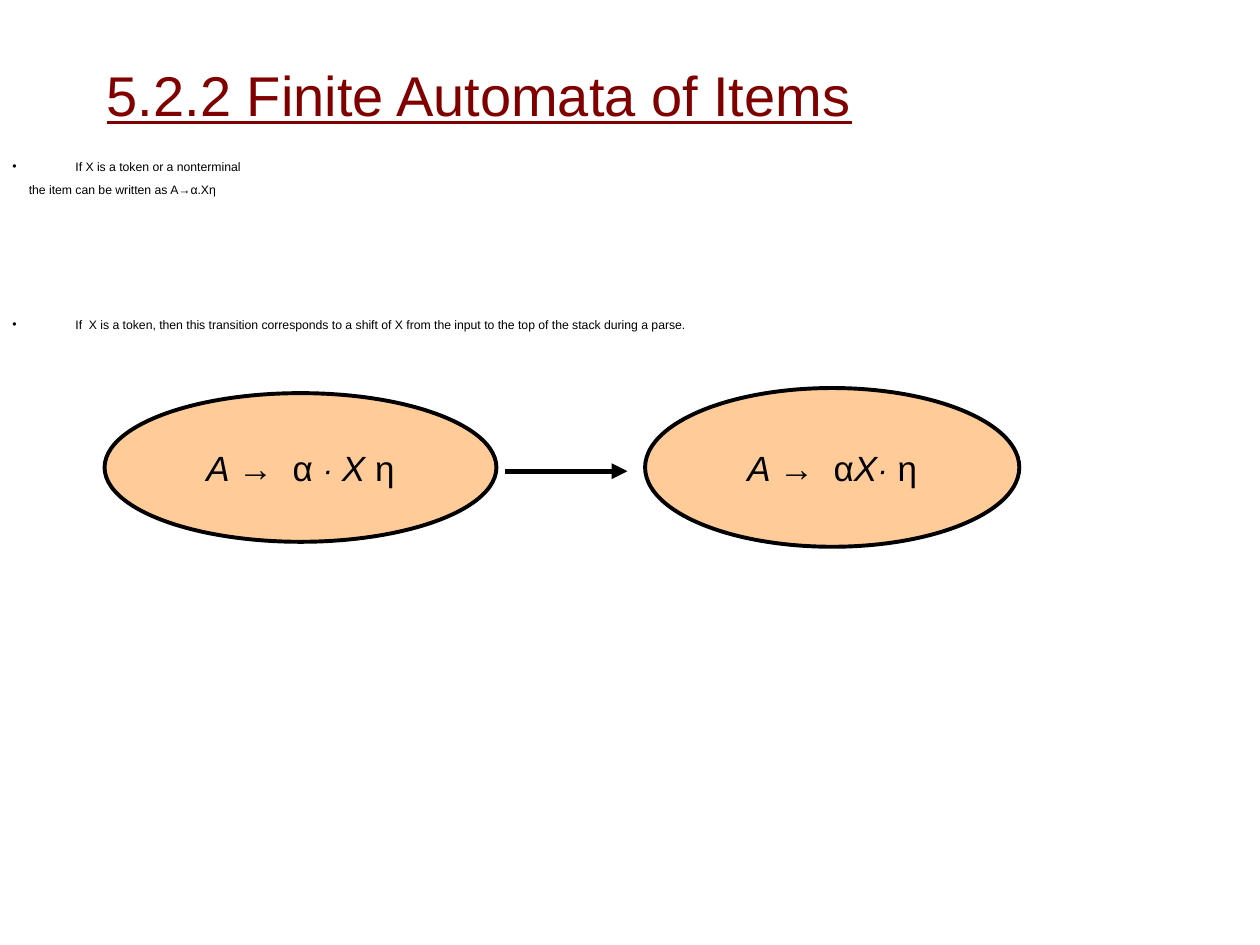
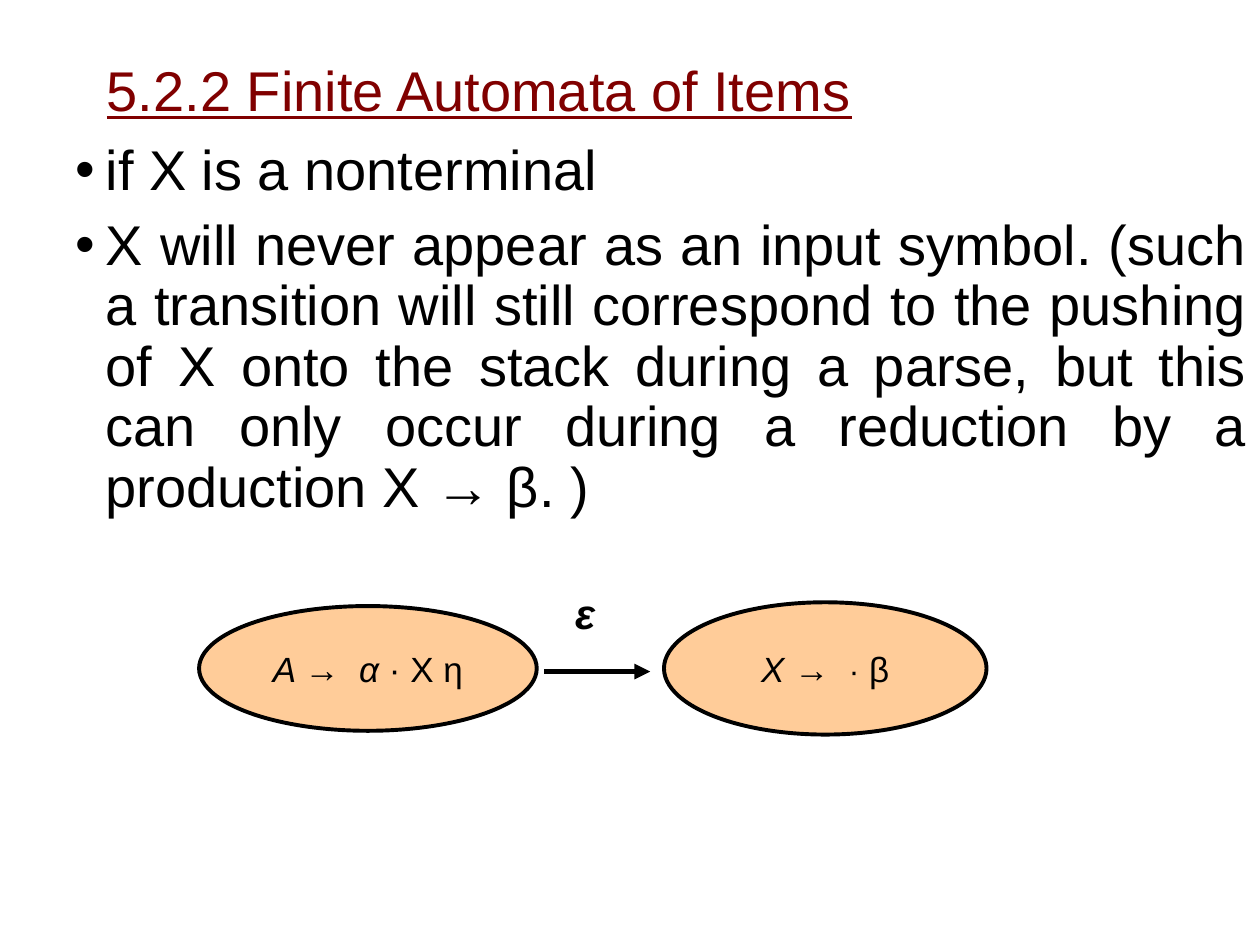
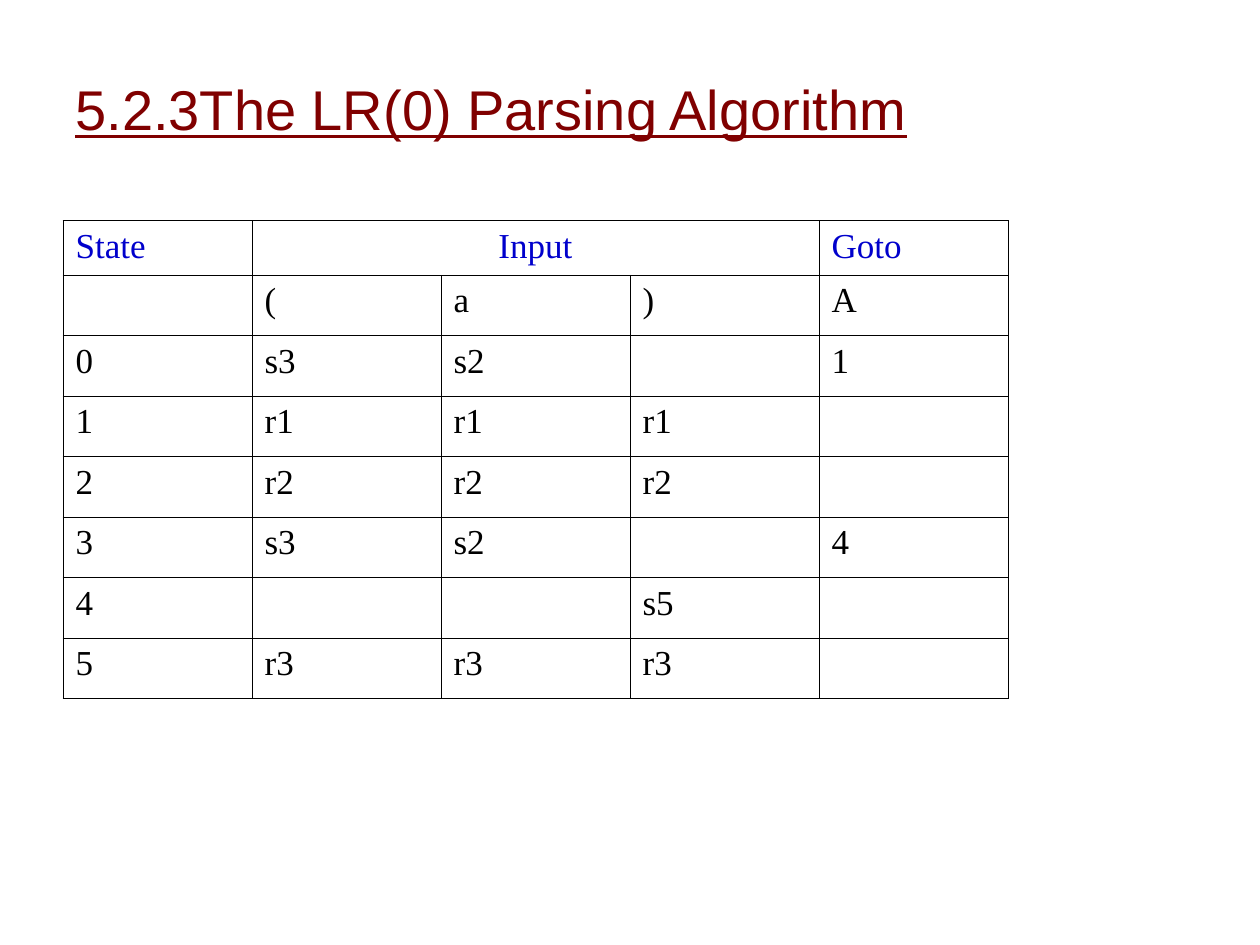
from lxml import etree
from pptx import Presentation
from pptx import util as u
from pptx.dml.color import RGBColor
from pptx.enum import shapes, text
from pptx.oxml import ns
from dataclasses import dataclass


@dataclass(frozen=True)
class Theme:
    sans: str = "Arial"
    serif: str = "Times New Roman"
    ink: str = "000000"
    title: str = "800000"
    head: str = "0000CC"
    oval: str = "FFCC99"
    big: int = 32
    mark: int = 24
    node: int = 20
    dot: int = 18
    tiny: int = 7
    rim: float = 2.25
    arrow: float = 3
    grid: float = 0.45


T = Theme()
ITEMS = "5.2.2 Finite Automata of Items"

# Body paragraphs: text, bullet, left margin, hanging indent, space before.
# Node runs: text, italic, size.
AUTOMATA = [
    {
        "title": (ITEMS, (0.75, 0.5, 8.5, 0.5)),
        "body": ((0, 1.25, 9.75, 2.08), T.tiny, 0.7, [
            ("If X is a token or a nonterminal", True, 0.5, 0.5, 0),
            ("the item can be written as A→α.Xη", False, 0.13, 0, 7),
            ("If  X is a token, then this transition corresponds to a shift "
             "of X from the input to the top of the stack during a parse.",
             True, 0.5, 0.5, 71.5),
        ]),
        "nodes": [
            ((0.83, 3.12, 3.11, 1.18),
             [("A →  ", True, T.node), ("α ", False, T.node),
              ("· ", True, T.dot), ("X ", True, T.node),
              ("η", False, T.node)]),
            ((5.12, 3.08, 2.97, 1.26),
             [("A →  ", True, T.node), ("α", False, T.node),
              ("X", True, T.node), ("·", True, T.dot),
              (" ", True, T.node), ("η", False, T.node)]),
        ],
        "arrow": (4.01, 4.98, 3.74),
    },
    {
        "title": (ITEMS, (0.75, 0.42, 8.5, 0.58)),
        "body": ((0.5, 1.08, 9.5, 3.25), T.big, 0.9, [
            ("if X is a nonterminal", True, 0.24, 0.24, 0),
            ("X will never appear as an input symbol. (such a transition "
             "will still correspond to the pushing of X onto the stack "
             "during a parse, but this can only occur during a reduction "
             "by a production X → β. )", True, 0.24, 0.24, 8),
        ]),
        "nodes": [
            ((1.58, 4.81, 2.68, 0.99),
             [("A ", True, T.node), ("→  ", False, T.node),
              ("α", True, T.node), (" · X η", False, T.node)]),
            ((5.27, 4.78, 2.56, 1.05),
             [("X ", True, T.node), ("→  ", False, T.node),
              ("·", False, T.dot), (" β", False, T.node)]),
        ],
        "arrow": (4.32, 5.16, 5.33),
        "label": ("ε", (4.26, 4.67, 0.77, 0.39)),
    },
]

PARSE = {
    "title": ("5.2.3The LR(0) Parsing Algorithm", (0.5, 0.17, 9.33, 1.38)),
    "at": (0.5, 1.75),
    "col": 1.5,
    "head": 0.43,
    "row": 0.48,
    "rows": [
        ("State", "Input", "", "", "Goto"),
        ("", "(", "a", ")", "A"),
        ("0", "s3", "s2", "", "1"),
        ("1", "r1", "r1", "r1", ""),
        ("2", "r2", "r2", "r2", ""),
        ("3", "s3", "s2", "", "4"),
        ("4", "", "", "s5", ""),
        ("5", "r3", "r3", "r3", ""),
    ],
}


def inch(box):
    return [u.Inches(v) for v in box]


def tint(hue):
    return RGBColor.from_string(hue)


def sub(node, tag, **attrs):
    return etree.SubElement(node, ns.qn(tag), attrs)


def style(run, size, hue=T.ink, face=T.sans, **flags):
    font = run.font
    font.size, font.name = u.Pt(size), face
    font.color.rgb = tint(hue)
    for name, value in flags.items():
        setattr(font, name, value)


def add_box(slide, box, wrap=True, mid=True):
    frame = slide.shapes.add_textbox(*inch(box)).text_frame
    frame.word_wrap = wrap
    if mid:
        frame.vertical_anchor = text.MSO_ANCHOR.MIDDLE
    return frame


def add_title(slide, words, box):
    frame = add_box(slide, box)
    frame.text = words
    style(frame.paragraphs[0].runs[0], T.big, T.title, underline=True)


def add_body(slide, box, size, pitch, paras):
    frame = add_box(slide, box, mid=False)
    frame.text = "\n".join(para[0] for para in paras)
    for para, (_, dot, left, hang, gap) in zip(frame.paragraphs, paras):
        props = para._p.get_or_add_pPr()
        props.set("marL", str(u.Inches(left)))
        props.set("indent", str(-u.Inches(hang)))
        if dot:
            sub(sub(props, "a:buClr"), "a:srgbClr", val=T.ink)
            sub(props, "a:buFont", typeface=T.sans)
            sub(props, "a:buChar", char="•")
        para.alignment = text.PP_ALIGN.JUSTIFY
        para.line_spacing = pitch
        para.space_before = u.Pt(gap)
        style(para.runs[0], size)


def add_node(slide, box, runs):
    oval = slide.shapes.add_shape(shapes.MSO_SHAPE.OVAL, *inch(box))
    oval.shadow.inherit = False
    oval.fill.solid()
    oval.fill.fore_color.rgb = tint(T.oval)
    oval.line.color.rgb = tint(T.ink)
    oval.line.width = u.Pt(T.rim)
    frame = oval.text_frame
    frame.word_wrap = False
    frame.vertical_anchor = text.MSO_ANCHOR.MIDDLE
    para = frame.paragraphs[0]
    para.alignment = text.PP_ALIGN.CENTER
    for words, slant, size in runs:
        run = para.add_run()
        run.text = words
        style(run, size, italic=slant)


def add_arrow(slide, start, end, y):
    arrow = slide.shapes.add_connector(
        shapes.MSO_CONNECTOR.STRAIGHT, *inch((start, y, end, y)))
    arrow.line.color.rgb = tint(T.ink)
    arrow.line.width = u.Pt(T.arrow)
    sub(arrow.line._get_or_add_ln(), "a:tailEnd", type="triangle")
    sub(arrow._element.spPr, "a:effectLst")


def add_label(slide, words, box):
    frame = add_box(slide, box, wrap=False)
    frame.text = words
    para = frame.paragraphs[0]
    para.alignment = text.PP_ALIGN.CENTER
    style(para.runs[0], T.mark, bold=True, italic=True)


def edge(cell):
    """Draw thin lines on all four sides of a cell."""
    props = cell._tc.get_or_add_tcPr()
    for place, side in enumerate("LRTB"):
        line = etree.Element(ns.qn(f"a:ln{side}"), w=str(u.Pt(T.grid)))
        sub(sub(line, "a:solidFill"), "a:srgbClr", val=T.ink)
        props.insert(place, line)


def add_grid(slide, data):
    rows = data["rows"]
    high = [data["head"]] + [data["row"]] * (len(rows) - 1)
    wide = data["col"] * len(rows[0])
    grid = slide.shapes.add_table(
        len(rows), len(rows[0]), *inch((*data["at"], wide, sum(high)))).table
    grid.first_row = grid.horz_banding = False
    for r, row in enumerate(rows):
        grid.rows[r].height = u.Inches(high[r])
        for c, words in enumerate(row):
            cell = grid.cell(r, c)
            cell.fill.background()
            edge(cell)
            if words:
                cell.text = words
                style(cell.text_frame.paragraphs[0].runs[0], T.node,
                      T.ink if r else T.head, T.serif)
    grid.cell(0, 1).merge(grid.cell(0, 3))
    grid.cell(0, 1).text_frame.paragraphs[0].alignment = text.PP_ALIGN.CENTER


def main():
    deck = Presentation()
    deck.slide_width, deck.slide_height = inch((10, 7.5))
    blank = deck.slide_layouts[6]
    for data in AUTOMATA:
        slide = deck.slides.add_slide(blank)
        add_title(slide, *data["title"])
        add_body(slide, *data["body"])
        for node in data["nodes"]:
            add_node(slide, *node)
        add_arrow(slide, *data["arrow"])
        if "label" in data:
            add_label(slide, *data["label"])
    slide = deck.slides.add_slide(blank)
    add_title(slide, *PARSE["title"])
    add_grid(slide, PARSE)
    deck.save("out.pptx")


if __name__ == "__main__":
    main()
